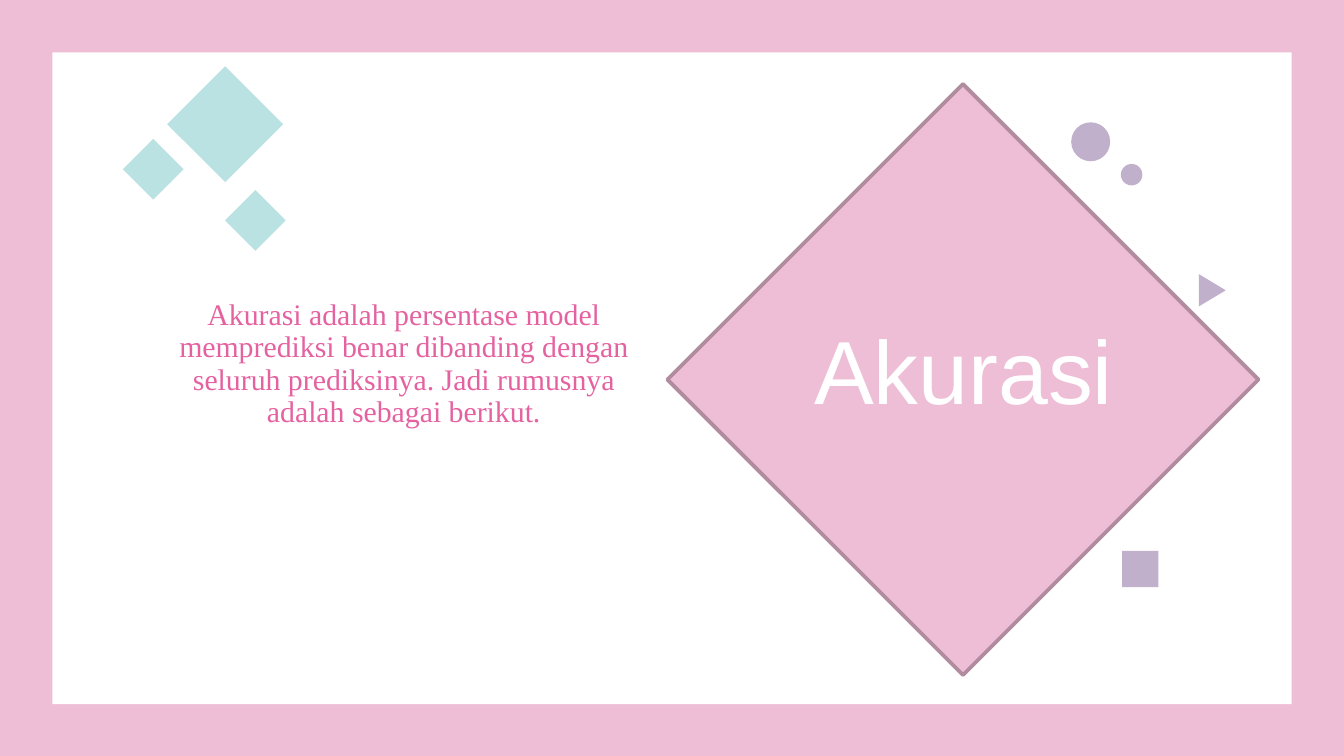
from lxml.etree import SubElement
from pptx import Presentation
from pptx.dml.color import RGBColor
from pptx.enum.shapes import MSO_SHAPE as SHAPE
from pptx.enum.text import MSO_ANCHOR as ANCHOR, PP_ALIGN as ALIGN
from pptx.oxml.ns import qn
from pptx.util import Inches, Pt

PINK, WHITE, MAUVE = "EEBDD6", "FFFFFF", "B08C9E"
TEAL, LILAC, ROSE = "BBE2E2", "C0B0CC", "E562A0"

BODY = ("Akurasi adalah persentase model memprediksi benar dibanding dengan "
        "seluruh prediksinya. Jadi rumusnya adalah sebagai berikut.")
HEADING = "Akurasi"

PANEL = (SHAPE.RECTANGLE, 0.39, 0.39, 9.22, 4.85, 0, WHITE)
DIAMOND = (SHAPE.RECTANGLE, 5.61, 1.27, 3.11, 3.11, 45, PINK)
LABEL = (SHAPE.ROUNDED_RECTANGLE, 5.42, 2.24, 3.5, 1, 0, None)
TEAL_DIAMONDS = [(1.37, 0.62, 0.61), (0.98, 1.1, 0.32), (1.74, 1.48, 0.32)]
LILAC_ACCENTS = [
    (SHAPE.OVAL, 7.97, 0.91, 0.29, 0.29, 0),
    (SHAPE.ISOSCELES_TRIANGLE, 8.9, 2.06, 0.24, 0.2, 90),
    (SHAPE.RECTANGLE, 8.35, 4.1, 0.27, 0.27, 0),
    (SHAPE.OVAL, 8.34, 1.22, 0.16, 0.16, 0),
]


def rgb(color):
    """Turn a hex string into a colour."""
    return RGBColor.from_string(color)


def add_shape(s, kind, x, y, w, h, rotation, color):
    """Add a borderless shape, unfilled when the colour is None."""
    sp = s.shapes.add_shape(kind, Inches(x), Inches(y), Inches(w), Inches(h))
    sp.rotation = rotation
    sp.shadow.inherit = False
    sp.line.fill.background()
    if color:
        sp.fill.solid()
        sp.fill.fore_color.rgb = rgb(color)
    else:
        sp.fill.background()
    return sp


def write(sp, text, font, size, color, anchor):
    """Fill a shape with one centred paragraph."""
    tf = sp.text_frame
    tf.text = text
    tf.word_wrap = True
    tf.vertical_anchor = anchor
    p = tf.paragraphs[0]
    p.alignment = ALIGN.CENTER
    r = p.runs[0]
    r.font.name, r.font.size, r.font.color.rgb = font, Pt(size), rgb(color)
    return tf


def place_title(s):
    """Move the title above the panel and set its text."""
    title = s.shapes.title
    s.shapes._spTree.append(title._element)
    title.left, title.top = Inches(0.54), Inches(2.17)
    title.width, title.height = Inches(4.43), Inches(1.39)
    tf = write(title, BODY, "Times New Roman", 16, ROSE, ANCHOR.BOTTOM)
    tf.margin_left, tf.margin_right = Inches(0.6), Inches(0.1)
    tf.margin_top, tf.margin_bottom = Inches(0), Inches(0.37)
    tf.paragraphs[0].line_spacing = 0.9


def main():
    """Build the slide and save it."""
    prs = Presentation()
    prs.slide_width, prs.slide_height = Inches(10), Inches(10 * 9 / 16)
    s = prs.slides.add_slide(prs.slide_layouts[5])
    s.background.fill.solid()
    s.background.fill.fore_color.rgb = rgb(PINK)

    add_shape(s, *PANEL)
    diamond = add_shape(s, *DIAMOND)
    diamond.line.color.rgb = rgb(MAUVE)
    diamond.line.width = Pt(2)
    SubElement(diamond.line._get_or_add_ln(), qn("a:round"))
    place_title(s)
    for x, y, side in TEAL_DIAMONDS:
        add_shape(s, SHAPE.RECTANGLE, x, y, side, side, 45, TEAL)
    for accent in LILAC_ACCENTS:
        add_shape(s, *accent, LILAC)
    write(add_shape(s, *LABEL), HEADING, "Arial", 48, WHITE, ANCHOR.MIDDLE)
    prs.save("out.pptx")


if __name__ == "__main__":
    main()
